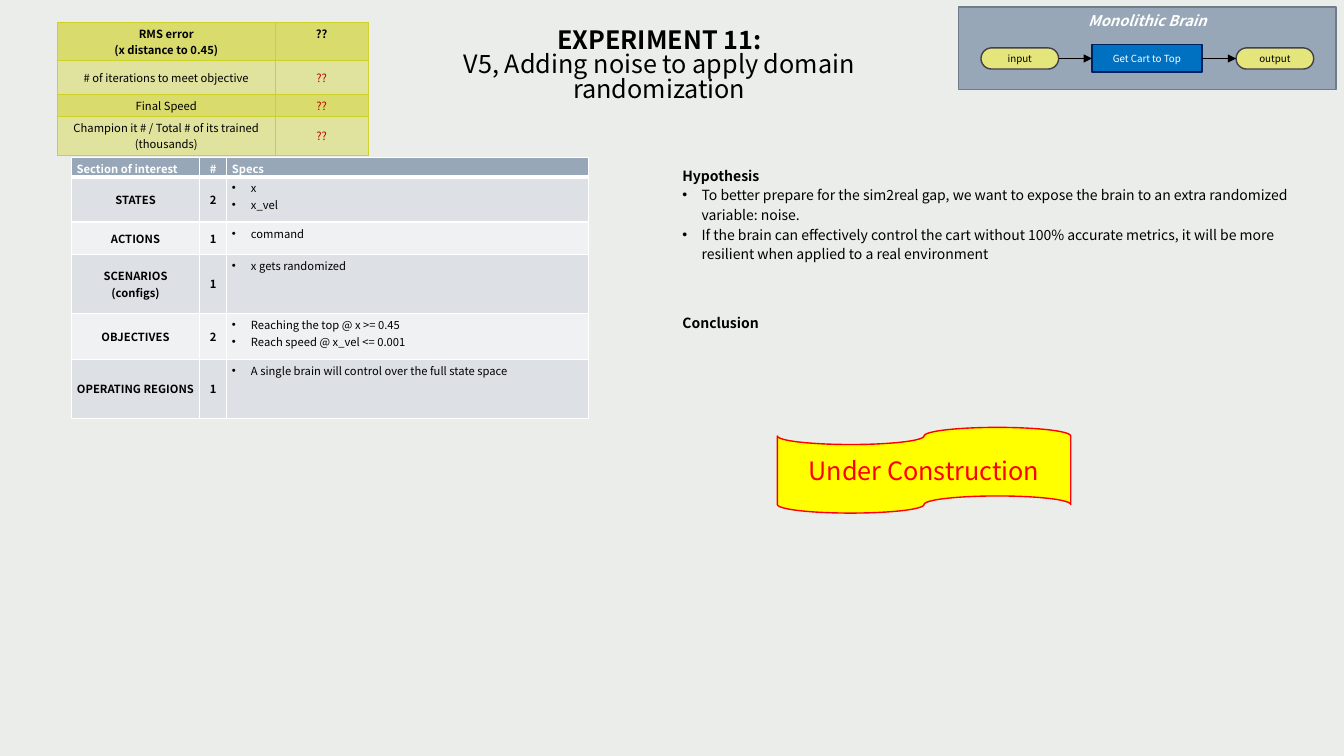
from pptx import Presentation
from pptx.dml.color import RGBColor
from pptx.enum.shapes import MSO_CONNECTOR, MSO_SHAPE
from pptx.enum.text import MSO_ANCHOR, MSO_AUTO_SIZE, PP_ALIGN
from pptx.oxml.ns import qn
from pptx.util import Inches, Pt
from lxml import etree

CENTER, LEFT = PP_ALIGN.CENTER, PP_ALIGN.LEFT
TOP, MIDDLE = MSO_ANCHOR.TOP, MSO_ANCHOR.MIDDLE
RECT, ROUND, TAPE = MSO_SHAPE.RECTANGLE, MSO_SHAPE.ROUNDED_RECTANGLE, MSO_SHAPE.WAVE
TAPE = MSO_SHAPE.FLOWCHART_PUNCHED_TAPE
FONT = "Noto Sans CJK JP"
BLACK, WHITE, RED, SLATE = "000000", "FFFFFF", "C00000", "97A7B8"

TITLE = ["EXPERIMENT 11:", "V5, Adding noise to apply domain randomization"]
RESULTS = [
    ("RMS error\n(x distance to 0.45)", "??"),
    ("# of iterations to meet objective", "??"),
    ("Final Speed", "??"),
    ("Champion it # / Total # of its trained (thousands)", "??"),
]
SPECS = [
    ("Section of interest", "#", ["Specs"]),
    ("STATES", "2", ["x", "x_vel"]),
    ("ACTIONS", "1", ["command"]),
    ("SCENARIOS\n(configs)", "1", ["x gets randomized"]),
    ("OBJECTIVES", "2", ["Reaching the top @ x >= 0.45", "Reach speed @ x_vel <= 0.001"]),
    ("OPERATING REGIONS", "1", ["A single brain will control over the full state space"]),
]
HYPOTHESIS = [
    "To better prepare for the sim2real gap, we want to expose the brain to an extra "
    "randomized variable: noise.",
    "If the brain can effectively control the cart without 100% accurate metrics, it will be "
    "more resilient when applied to a real environment",
]
BRAIN = [
    ("input", ROUND, 9.73, 0.77, 0.21, "E4E67C", "433F48", BLACK),
    ("Get Cart to Top", RECT, 10.83, 1.09, 0.27, "0070C0", "002060", WHITE),
    ("output", ROUND, 12.26, 0.77, 0.21, "E4E67C", "433F48", BLACK),
]
FLOW_Y = 0.58


def rgb(value):
    return RGBColor.from_string(value)


def write(p, text, size, color=BLACK, bold=False, italic=False, align=LEFT, bullet=False):
    p.alignment = align
    for i, line in enumerate(text.split("\n")):
        if i:
            p.add_line_break()
        r = p.add_run()
        r.text = line
        r.font.name, r.font.size = FONT, Pt(size)
        r.font.bold, r.font.italic = bold, italic
        r.font.color.rgb = rgb(color)
    if bullet:
        pPr = p._p.get_or_add_pPr()
        pPr.set("marL", str(Inches(0.19)))
        pPr.set("indent", str(-Inches(0.19)))
        etree.SubElement(pPr, qn("a:buFont")).set("typeface", "Arial")
        etree.SubElement(pPr, qn("a:buChar")).set("char", "•")


def next_paragraph(tf, i):
    return tf.add_paragraph() if i else tf.paragraphs[0]


def add_box(s, kind, at, fill, line, text, size, color, anchor=MIDDLE, **style):
    sp = s.shapes.add_shape(kind, *map(Inches, at))
    sp.shadow.inherit = False
    sp.fill.solid()
    sp.fill.fore_color.rgb = rgb(fill)
    sp.line.color.rgb, sp.line.width = rgb(line), Pt(1)
    if kind == ROUND:
        sp.adjustments[0] = 0.5
    tf = sp.text_frame
    tf.word_wrap, tf.vertical_anchor = True, anchor
    write(tf.paragraphs[0], text, size, color, align=CENTER, **style)


def add_arrow(s, x1, x2, y):
    c = s.shapes.add_connector(MSO_CONNECTOR.STRAIGHT, Inches(x1), Inches(y), Inches(x2), Inches(y))
    c.line.color.rgb, c.line.width = rgb(BLACK), Pt(0.75)
    etree.SubElement(c.line._get_or_add_ln(), qn("a:tailEnd")).set("type", "triangle")
    etree.SubElement(c._element.spPr, qn("a:effectLst"))


def add_grid(s, x, y, cols, rows):
    frame = s.shapes.add_table(len(rows), len(cols), Inches(x), Inches(y),
                               Inches(sum(cols)), Inches(sum(rows)))
    table = frame.table
    for col, width in zip(table.columns, cols):
        col.width = Inches(width)
    for row, height in zip(table.rows, rows):
        row.height = Inches(height)
    return table


def style_cell(cell, fill, border, width, bottom, anchor):
    cell.margin_left = cell.margin_right = Inches(0.05)
    cell.margin_top = cell.margin_bottom = Inches(0.03)
    cell.vertical_anchor = anchor
    tcPr = cell._tc.get_or_add_tcPr()
    for side, points in zip("LRTB", (width, width, width, bottom)):
        ln = etree.SubElement(tcPr, qn("a:ln" + side))
        ln.set("w", str(Pt(points)))
        etree.SubElement(etree.SubElement(ln, qn("a:solidFill")), qn("a:srgbClr")).set("val", border)
    cell.fill.solid()
    cell.fill.fore_color.rgb = rgb(fill)


def add_results(s):
    table = add_grid(s, 0.57, 0.22, [2.16, 0.92], [0.38, 0.33, 0.22, 0.38])
    for i, row in enumerate(RESULTS):
        for j, text in enumerate(row):
            cell = table.cell(i, j)
            style_cell(cell, ("D9DC6D", "E0E39D")[i % 2], "CED228", 0.75, 0.75,
                       MIDDLE if i else TOP)
            write(cell.text_frame.paragraphs[0], text, 8, RED if i and j else BLACK,
                  bold=i == 0, align=CENTER)


def add_specs(s):
    table = add_grid(s, 0.71, 1.56, [1.27, 0.27, 3.59], [0.19, 0.45, 0.32, 0.59, 0.45, 0.59])
    for i, (section, count, specs) in enumerate(SPECS):
        head = i == 0
        fill = SLATE if head else ("EFF1F3", "DDE1E6")[i % 2]
        for j, lines in enumerate(([section], [count], specs)):
            cell = table.cell(i, j)
            style_cell(cell, fill, WHITE, 1, 3 if head else 1, TOP if head or j == 2 else MIDDLE)
            centered = j == 1 or (j == 0 and not head)
            for k, text in enumerate(lines):
                write(next_paragraph(cell.text_frame, k), text, 8, WHITE if head else BLACK,
                      bold=head or j < 2, align=CENTER if centered else LEFT,
                      bullet=j == 2 and not head)


def add_notes_block(s, y, height, heading, points):
    tf = s.shapes.add_textbox(Inches(6.67), Inches(y), Inches(6.21), Inches(height)).text_frame
    tf.word_wrap = True
    for i, text in enumerate([heading] + points):
        p = next_paragraph(tf, i)
        p.line_spacing = 1.17
        write(p, text, 10, bold=i == 0, bullet=i > 0)


def add_title(s):
    sp = s.shapes.title
    sp.left, sp.top, sp.width, sp.height = map(Inches, (3.64, 0.24, 5.8, 1.01))
    tf = sp.text_frame
    tf.word_wrap, tf.vertical_anchor, tf.auto_size = True, TOP, MSO_AUTO_SIZE.NONE
    p = tf.paragraphs[0]
    p.line_spacing = 0.82
    write(p, TITLE[0], 18, bold=True, align=CENTER)
    p.add_line_break()
    write(p, TITLE[1], 18, align=CENTER)


def add_brain(s):
    add_box(s, RECT, (9.51, 0.07, 3.74, 0.82), SLATE, "707C88", "Monolithic Brain", 10.5, WHITE,
            TOP, bold=True, italic=True)
    for text, kind, x, w, h, fill, line, color in BRAIN:
        add_box(s, kind, (x, FLOW_Y - h / 2, w, h), fill, line, text, 7, color)
    for start, end in zip(BRAIN, BRAIN[1:]):
        add_arrow(s, start[2] + start[3], end[2], FLOW_Y)


def main():
    prs = Presentation()
    prs.slide_width, prs.slide_height = Inches(13.33), Inches(7.5)
    s = prs.slides.add_slide(prs.slide_layouts[5])
    s.background.fill.solid()
    s.background.fill.fore_color.rgb = rgb("EBEDEB")
    add_title(s)
    add_results(s)
    add_brain(s)
    add_notes_block(s, 1.58, 1.43, "Hypothesis", HYPOTHESIS)
    add_specs(s)
    add_notes_block(s, 3.04, 1.49, "Conclusion", [])
    add_box(s, TAPE, (7.71, 4.24, 2.91, 0.85), "FFFF00", "FF0000", "Under Construction", 18, "FF0000")
    prs.save("out.pptx")


if __name__ == "__main__":
    main()
